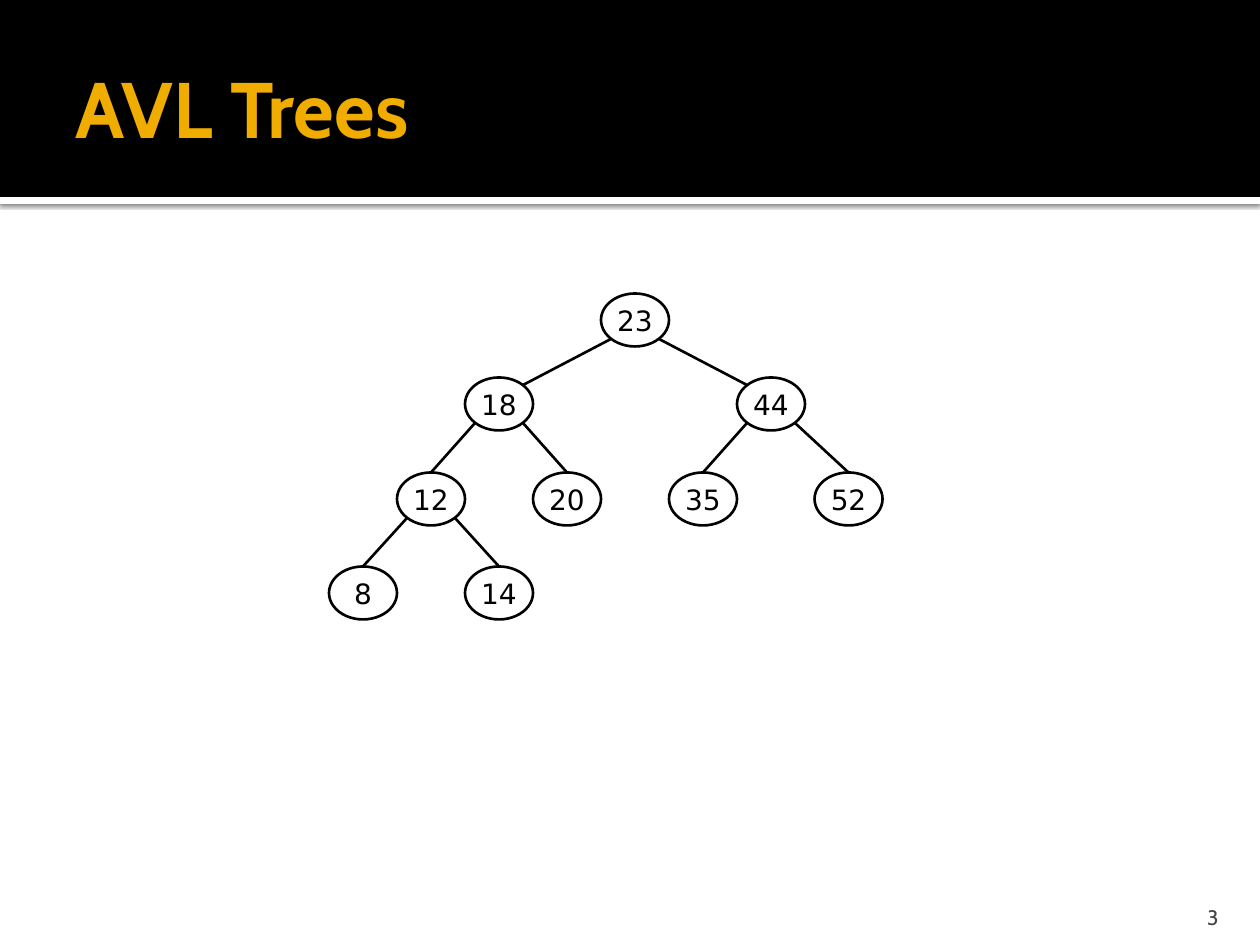
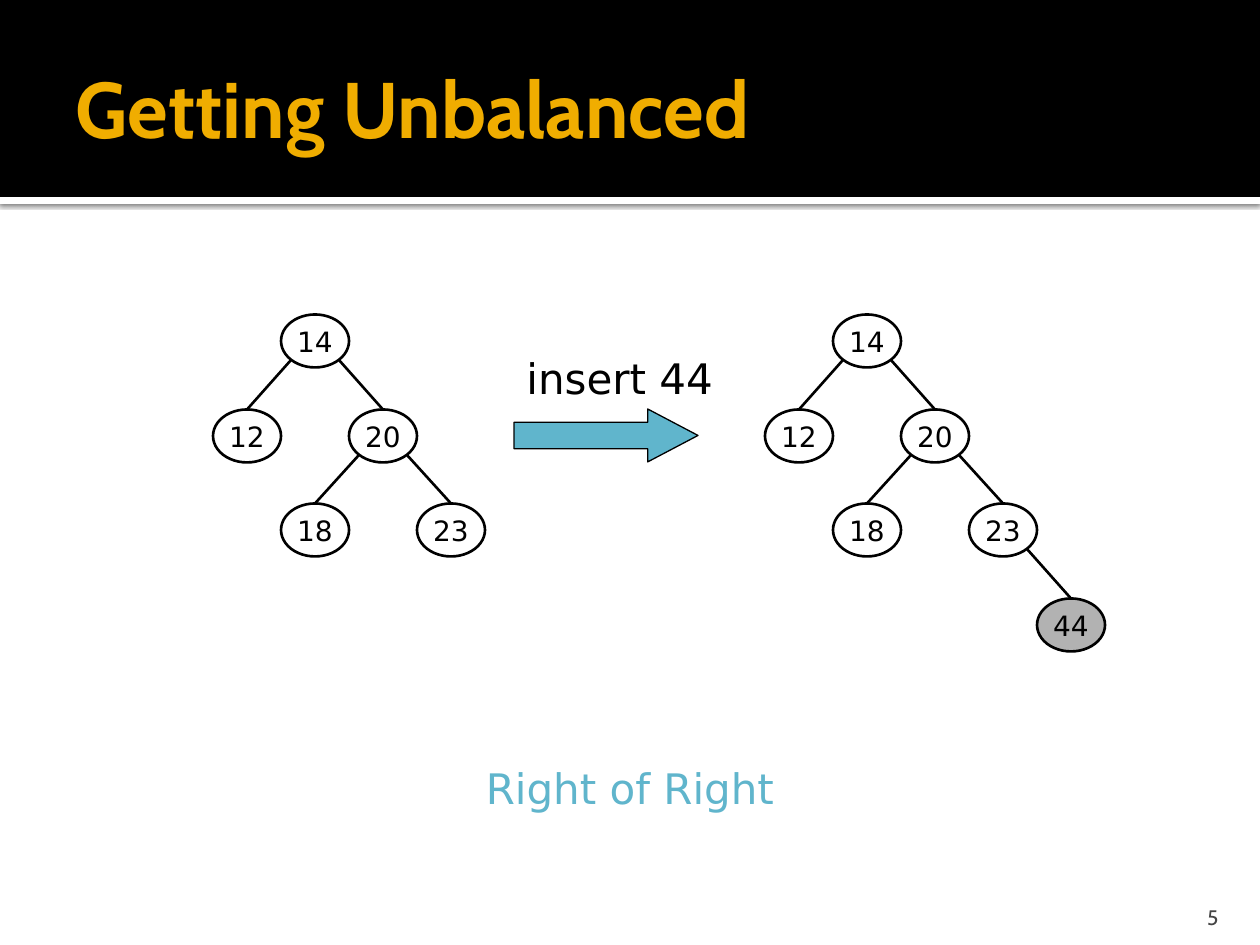
"""Build two slides of binary search tree diagrams under a shared title band."""
from lxml.etree import SubElement
from pptx import Presentation
from pptx.dml.color import RGBColor
from pptx.enum.shapes import MSO_CONNECTOR, MSO_SHAPE
from pptx.enum.text import MSO_ANCHOR, MSO_AUTO_SIZE, PP_ALIGN
from pptx.oxml.ns import qn
from pptx.util import Emu, Pt

BLACK = RGBColor(0x00, 0x00, 0x00)
WHITE = RGBColor(0xFF, 0xFF, 0xFF)
AMBER = RGBColor(0xF0, 0xAD, 0x00)
TEAL = RGBColor(0x60, 0xB5, 0xCC)
INSERTED_GRAY = RGBColor(0xB2, 0xB2, 0xB2)
PAGE_GRAY = RGBColor(0x45, 0x45, 0x45)

TITLE_FONT = {"name": "Cabin", "size": Pt(45), "bold": True}
PAGE_FONT = {"name": "Cabin", "size": Pt(12)}
KEY_FONT = {"name": "DejaVu Sans", "size": Pt(16)}
CAPTION_FONT = {"name": "DejaVu Sans", "size": Pt(24)}

SLIDE_W, SLIDE_H = 1260, 945
BAND_H, RULE_H = 197, 7
NODE_W, NODE_H = 68, 53
COLUMN = 68
CORNER_X, CORNER_Y = 24, 19

# Each node is key: (parent key, columns from the root, level).
BALANCED = {
    23: (None, 0, 0),
    18: (23, -2, 1), 44: (23, 2, 1),
    12: (18, -3, 2), 20: (18, -1, 2), 35: (44, 1, 2), 52: (44, 3.14, 2),
    8: (12, -4, 3), 14: (12, -2, 3),
}
BEFORE = {
    14: (None, 0, 0),
    12: (14, -1, 1), 20: (14, 1, 1),
    18: (20, 0, 2), 23: (20, 2, 2),
}
AFTER = {**BEFORE, 44: (23, 3, 3)}

SLIDES = [
    {
        "title": "AVL Trees", "page": "3", "levels": (320, 404, 499, 593),
        "trees": [(635, BALANCED, None)],
    },
    {
        "title": "Getting Unbalanced", "page": "5", "levels": (341, 436, 530, 625),
        "trees": [(315, BEFORE, None), (867, AFTER, 44)],
        "step": "insert 44", "case": "Right of Right",
    },
]


def px(*lengths):
    return [Emu(round(length * 914400 / 126)) for length in lengths]


def write(frame, text, font_format, color, align=PP_ALIGN.LEFT, **frame_format):
    for attribute, value in frame_format.items():
        setattr(frame, attribute, value)
    paragraph = frame.paragraphs[0]
    paragraph.alignment = align
    run = paragraph.add_run()
    run.text = text
    for attribute, value in font_format.items():
        setattr(run.font, attribute, value)
    run.font.color.rgb = color


def add_text(slide, box, text, font_format, color, **formats):
    frame = slide.shapes.add_textbox(*px(*box)).text_frame
    write(frame, text, font_format, color, word_wrap=True, **formats)


def add_figure(slide, preset, box, fill=None, line=None, width=1.5):
    figure = slide.shapes.add_shape(preset, *px(*box))
    figure.shadow.inherit = False
    if fill is None:
        figure.fill.background()
    else:
        figure.fill.solid()
        figure.fill.fore_color.rgb = fill
    if line is None:
        figure.line.fill.background()
    else:
        figure.line.color.rgb = line
        figure.line.width = Pt(width)
    return figure


def add_bands(slide):
    """Draw the title band and its shadowed rule, then move both to the layout."""
    rule = add_figure(slide, MSO_SHAPE.RECTANGLE, (0, BAND_H, SLIDE_W, RULE_H), WHITE)
    band = add_figure(slide, MSO_SHAPE.RECTANGLE, (0, 0, SLIDE_W, BAND_H), BLACK)
    effects = rule.element.spPr.find(qn("a:effectLst"))
    shadow = SubElement(effects, qn("a:outerShdw"), blurRad=str(Pt(2.5)),
                        dist=str(Pt(0.8)), dir="5400000", rotWithShape="0")
    tint = SubElement(shadow, qn("a:srgbClr"), val=str(BLACK))
    SubElement(tint, qn("a:alpha"), val="60000")
    first_placeholder = slide.slide_layout.placeholders[0].element
    for number, part in enumerate((rule, band), start=101):
        part.element.nvSpPr.cNvPr.set("id", str(number))
        first_placeholder.addprevious(part.element)


def add_edge(slide, parent, child):
    (parent_x, parent_y), (child_x, child_y) = parent, child
    side = 1 if child_x > parent_x else -1
    start = parent_x + side * CORNER_X, parent_y + CORNER_Y
    if abs(child_x - parent_x) >= 2 * COLUMN:
        end = child_x - side * CORNER_X, child_y - CORNER_Y
    else:
        end = child_x, child_y - NODE_H / 2
    edge = slide.shapes.add_connector(MSO_CONNECTOR.STRAIGHT, *px(*start, *end))
    edge.line.color.rgb = BLACK
    edge.line.width = Pt(1.5)
    SubElement(edge.element.spPr, qn("a:effectLst"))


def add_tree(slide, root_x, tree, inserted, levels):
    centers = {key: (root_x + column * COLUMN, levels[level])
               for key, (_, column, level) in tree.items()}
    for key, (parent, _, _) in tree.items():
        x, y = centers[key]
        box = x - NODE_W / 2, y - NODE_H / 2, NODE_W, NODE_H
        fill = INSERTED_GRAY if key == inserted else None
        node = add_figure(slide, MSO_SHAPE.OVAL, box, fill, BLACK)
        write(node.text_frame, str(key), KEY_FONT, BLACK, PP_ALIGN.CENTER,
              word_wrap=False, vertical_anchor=MSO_ANCHOR.MIDDLE)
        if parent is not None:
            add_edge(slide, centers[parent], centers[key])


def add_insertion(slide, step, case):
    arrow = add_figure(slide, MSO_SHAPE.RIGHT_ARROW, (514, 409, 184, NODE_H),
                       TEAL, BLACK, 0.75)
    arrow.adjustments[0], arrow.adjustments[1] = 0.5, 0.95
    add_text(slide, (514, 346, 223, 63), step, CAPTION_FONT, BLACK)
    add_text(slide, (0, 756, SLIDE_W, 64), case, CAPTION_FONT, TEAL,
             align=PP_ALIGN.CENTER)


def add_title(slide, text):
    title = slide.shapes.title
    title.left, title.top, title.width, title.height = px(63, 21, 1134, 173)
    left, other = px(13, 6)
    write(title.text_frame, text, TITLE_FONT, AMBER, word_wrap=True,
          auto_size=MSO_AUTO_SIZE.NONE, vertical_anchor=MSO_ANCHOR.MIDDLE,
          margin_left=left, margin_right=other, margin_top=other, margin_bottom=other)


def main():
    deck = Presentation()
    deck.slide_width, deck.slide_height = px(SLIDE_W, SLIDE_H)
    layout = deck.slide_layouts.get_by_name("Title Only")
    for index, content in enumerate(SLIDES):
        slide = deck.slides.add_slide(layout)
        if index == 0:
            add_bands(slide)
        add_title(slide, content["title"])
        add_text(slide, (1130, 892, 101, 38), content["page"], PAGE_FONT, PAGE_GRAY,
                 align=PP_ALIGN.RIGHT, vertical_anchor=MSO_ANCHOR.BOTTOM, margin_bottom=0)
        for root_x, tree, inserted in content["trees"]:
            add_tree(slide, root_x, tree, inserted, content["levels"])
        if "step" in content:
            add_insertion(slide, content["step"], content["case"])
    deck.save("out.pptx")


if __name__ == "__main__":
    main()
